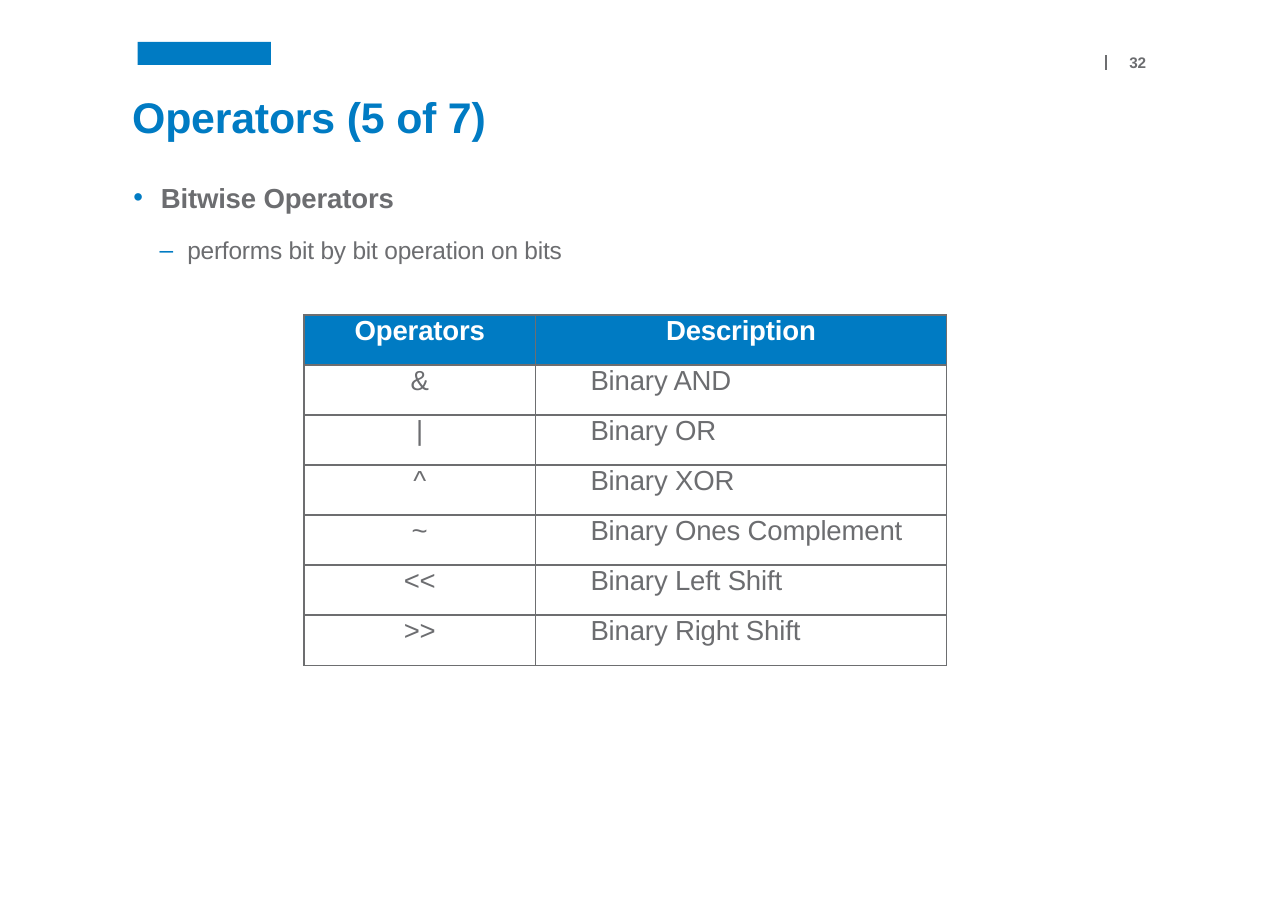
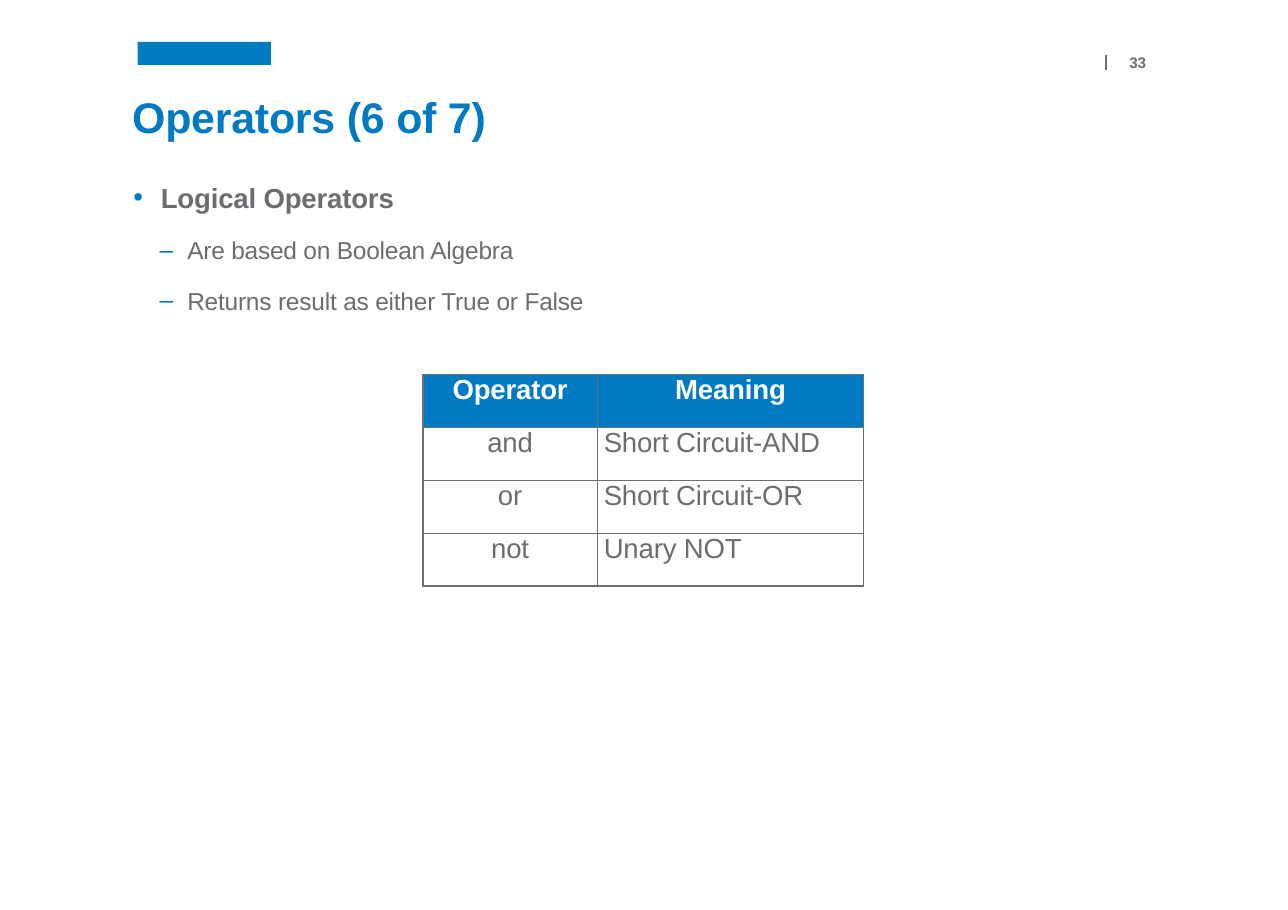
from lxml import etree
from pptx import Presentation
from pptx.dml.color import RGBColor
from pptx.enum.shapes import MSO_CONNECTOR as Conn, MSO_SHAPE as Shape
from pptx.enum.text import PP_ALIGN as Align
from pptx.oxml.ns import qn
from pptx.util import Pt

# Content
SLIDES = [
    {
        "page": 32,
        "title": "Operators (5 of 7)",
        "topic": "Bitwise Operators",
        "notes": ["performs bit by bit operation on bits"],
        "grid": {"at": (276, 286), "cols": (210, 373), "high": 318, "indent": 50},
        "rows": [
            ("Operators", "Description"),
            ("&", "Binary AND"),
            ("|", "Binary OR"),
            ("^", "Binary XOR"),
            ("~", "Binary Ones Complement"),
            ("<<", "Binary Left Shift"),
            (">>", "Binary Right Shift"),
        ],
    },
    {
        "page": 33,
        "title": "Operators (6 of 7)",
        "topic": "Logical Operators",
        "notes": ["Are based on Boolean Algebra",
                  "Returns result as either True or False"],
        "grid": {"at": (384, 340), "cols": (158, 242), "high": 192, "indent": 6},
        "rows": [
            ("Operator", "Meaning"),
            ("and", "Short Circuit-AND"),
            ("or", "Short Circuit-OR"),
            ("not", "Unary NOT"),
        ],
    },
]

# Shared style
BLUE = RGBColor(0x00, 0x7B, 0xC3)
GREY = RGBColor(0x6C, 0x6D, 0x70)
RULE = RGBColor(0x6D, 0x6E, 0x70)
WHITE = RGBColor(0xFF, 0xFF, 0xFF)
FONT = "Arial"
WIDE, HIGH = 1169, 826


def px(n):
    """100 px to the inch."""
    return round(n * 9144)


def sub(parent, tag, **attrs):
    return etree.SubElement(parent, qn(tag), attrs)


def solid(parent, color):
    sub(sub(parent, "a:solidFill"), "a:srgbClr", val=str(color))


# Text
def write(para, text, size, color, bold=False):
    run = para.add_run()
    run.text = text
    font = run.font
    font.name, font.size, font.bold = FONT, Pt(size), bold
    font.color.rgb = color
    font._element.set("spc", "-10")


def clear(item):
    item.margin_left = item.margin_right = 0
    item.margin_top = item.margin_bottom = 0


def box(slide, x, y, w, h):
    frame = slide.shapes.add_textbox(px(x), px(y), px(w), px(h)).text_frame
    clear(frame)
    frame.word_wrap = True
    return frame


def bullet(para, char, left):
    props = para._p.get_or_add_pPr()
    props.set("marL", str(px(left)))
    props.set("indent", str(px(-25)))
    sub(sub(props, "a:buClr"), "a:srgbClr", val=str(BLUE))
    sub(props, "a:buFont", typeface=FONT)
    sub(props, "a:buChar", char=char)


# Band, page number and title
def head(slide, title, page):
    band = slide.shapes.add_shape(Shape.RECTANGLE, px(125), px(38), px(121), px(21))
    band.shadow.inherit = False
    band.fill.solid()
    band.fill.fore_color.rgb = BLUE
    band.line.fill.background()

    rule = slide.shapes.add_connector(Conn.STRAIGHT, px(1004), px(50), px(1004), px(64))
    rule.line.color.rgb = RULE
    rule.line.width = Pt(0.96)
    sub(rule._element.spPr, "a:effectLst")

    write(box(slide, 120, 82, 946, 48).paragraphs[0], title, 28, BLUE, True)
    write(box(slide, 1025, 48, 18, 18).paragraphs[0], str(page), 10, GREY, True)


# Bulleted list
def points(slide, topic, notes):
    frame = box(slide, 119, 164, 420, 123 if len(notes) > 1 else 76)
    first = frame.paragraphs[0]
    bullet(first, "•", 27)
    write(first, topic, 18, GREY, True)
    for note in notes:
        para = frame.add_paragraph()
        para.level = 1
        bullet(para, "–", 51)
        para.space_before = Pt(14)
        write(para, note, 16, GREY)


# Table
def edges(cell):
    props = cell._tc.get_or_add_tcPr()
    for side in "LRTB":
        solid(sub(props, "a:ln" + side, w=str(Pt(1))), RULE)


def table(slide, rows, at, cols, high, indent):
    x, y = at
    grid = slide.shapes.add_table(len(rows), len(cols), px(x), px(y),
                                  px(sum(cols)), px(high)).table
    grid.horz_banding = False
    for col, wide in zip(grid.columns, cols):
        col.width = px(wide)
    for r, row in enumerate(rows):
        grid.rows[r].height = px(high / len(rows))
        for c, text in enumerate(row):
            cell = grid.cell(r, c)
            top = r == 0
            clear(cell)
            edges(cell)
            cell.fill.solid()
            cell.fill.fore_color.rgb = BLUE if top else WHITE
            para = cell.text_frame.paragraphs[0]
            if top or c == 0:
                para.alignment = Align.CENTER
            else:
                para._p.get_or_add_pPr().set("marL", str(px(indent)))
            write(para, text, 18, WHITE if top else GREY, top)


def main():
    deck = Presentation()
    deck.slide_width, deck.slide_height = px(WIDE), px(HIGH)
    for item in SLIDES:
        slide = deck.slides.add_slide(deck.slide_layouts[6])
        head(slide, item["title"], item["page"])
        points(slide, item["topic"], item["notes"])
        table(slide, item["rows"], **item["grid"])
    deck.save("out.pptx")


if __name__ == "__main__":
    main()
